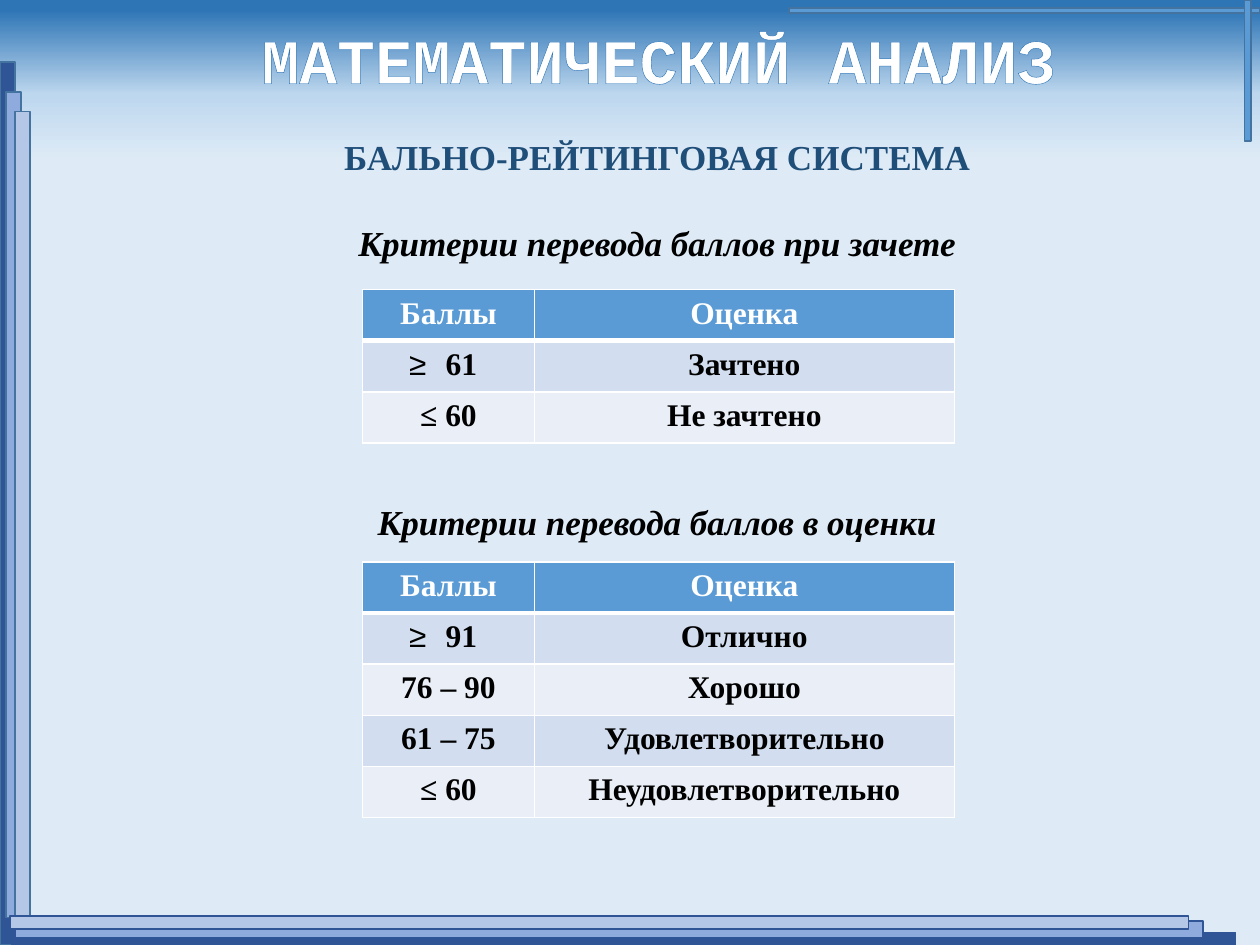
from copy import deepcopy

from lxml import etree
from pptx import Presentation
from pptx import util as u
from pptx.dml.color import RGBColor
from pptx.enum import shapes, text
from pptx.oxml.ns import qn

WHITE = RGBColor(0xFF, 0xFF, 0xFF)
BLACK = RGBColor(0, 0, 0)
NAVY = RGBColor(0x2F, 0x55, 0x97)
MID = RGBColor(0x8F, 0xAA, 0xDC)
PALE = RGBColor(0xB4, 0xC7, 0xE7)
BLUE = RGBColor(0x5B, 0x9B, 0xD5)
EDGE = RGBColor(0x43, 0x73, 0x9E)
INK = RGBColor(0x1F, 0x4E, 0x79)
DEEP = RGBColor(0x2E, 0x75, 0xB6)
SKY = RGBColor(0xBD, 0xD7, 0xEE)
ICE = RGBColor(0xDE, 0xEB, 0xF7)
BANDS = [RGBColor(0xD2, 0xDE, 0xEF), RGBColor(0xEA, 0xEF, 0xF7)]
SERIF = "Times New Roman"
ROW = 1.03  # table row height, cm


def style(para, size, color, face=SERIF, italic=None):
    para.alignment = text.PP_ALIGN.CENTER
    for run in para.runs:
        font = run.font
        font.name, font.size, font.bold = face, u.Pt(size), True
        font.italic = italic
        font.color.rgb = color


def add_line(parent, tag, spot, color, width):
    """Insert a solid line element, such as a border or text outline."""
    line = etree.Element(qn(tag), w=str(u.Pt(width)))
    fill = etree.SubElement(line, qn("a:solidFill"))
    etree.SubElement(fill, qn("a:srgbClr"), val=str(color))
    parent.insert(spot, line)


def paint_back(slide):
    fill = slide.background.fill
    fill.gradient()
    fill.gradient_angle = 270
    first = fill.gradient_stops[0]._gs
    first.addnext(deepcopy(first))
    stops = zip(fill.gradient_stops, (DEEP, SKY, ICE), (0.01, 0.1, 0.17))
    for stop, color, pos in stops:
        stop.color.rgb = color
        stop.position = pos


def add_title(slide, x, y, w, h):
    title = slide.shapes.title
    title.left, title.top, title.width, title.height = map(u.Cm, (x, y, w, h))
    frame = title.text_frame
    frame.text = "МАТЕМАТИЧЕСКИЙ АНАЛИЗ"
    frame.word_wrap = False
    frame.auto_size = text.MSO_AUTO_SIZE.SHAPE_TO_FIT_TEXT
    para = frame.paragraphs[0]
    style(para, 36, WHITE, "Courier New")
    add_line(para.runs[0].font._element, "a:ln", 0, DEEP, 0.75)


def add_bars(slide, bars):
    for x, y, w, h, color, edge in bars:
        bar = slide.shapes.add_shape(
            shapes.MSO_SHAPE.RECTANGLE, *map(u.Cm, (x, y, w, h)))
        bar.shadow.inherit = False
        bar.fill.solid()
        bar.fill.fore_color.rgb = color
        bar.line.color.rgb = edge
        bar.line.width = u.Pt(1)


def add_head(slide, x, y, w, h, words, color=BLACK, italic=True):
    box = slide.shapes.add_textbox(*map(u.Cm, (x, y, w, h)))
    frame = box.text_frame
    frame.word_wrap = True
    frame.text = words
    para = frame.paragraphs[0]
    para.line_spacing = 1.5
    style(para, 20, color, italic=italic)


def add_bullet(cell, mark):
    props = cell.text_frame.paragraphs[0]._p.get_or_add_pPr()
    hang = u.Cm(0.58)
    props.set("marL", str(hang))
    props.set("indent", str(-hang))
    etree.SubElement(props, qn("a:buFont"), typeface="Arial")
    etree.SubElement(props, qn("a:buChar"), char=mark)
    cell.margin_right = u.Cm(0.47)


def add_grid(slide, x, y, rows):
    """Score table: a header, then banded rows; the top score is a bullet."""
    rows = [("Баллы", "Оценка")] + rows
    widths = (3.46, 8.47)
    table = slide.shapes.add_table(
        len(rows), 2, *map(u.Cm, (x, y, sum(widths), ROW * len(rows)))).table
    for col, wide in zip(table.columns, widths):
        col.width = u.Cm(wide)
    for i, row in enumerate(rows):
        table.rows[i].height = u.Cm(ROW)
        for j, words in enumerate(row):
            cell = table.cell(i, j)
            mark = words.startswith("≥")
            cell.text_frame.text = words[1:] if mark else words
            style(cell.text_frame.paragraphs[0], 18, BLACK if i else WHITE)
            if mark:
                add_bullet(cell, "≥")
            cell.fill.solid()
            cell.fill.fore_color.rgb = BANDS[(i - 1) % 2] if i else BLUE
            props = cell._tc.get_or_add_tcPr()
            for spot, side in enumerate("LRTB"):
                thick = (i, side) in ((0, "B"), (1, "T"))
                add_line(props, "a:ln" + side, spot, WHITE, 3 if thick else 1)


def main():
    deck = Presentation()
    deck.slide_width, deck.slide_height = u.Cm(25.4), u.Cm(19.05)
    slide = deck.slides.add_slide(deck.slide_layouts[5])
    paint_back(slide)
    add_title(slide, 4.93, 0.28, 16.69, 1.8)

    # Frame: left side, bottom, top right corner
    add_bars(slide, [
        (0, 1.25, 0.3, 17.8, NAVY, EDGE),
        (0.12, 1.86, 0.3, 16.64, MID, EDGE),
        (0.3, 2.25, 0.3, 16.8, PALE, EDGE),
        (0.25, 18.8, 24.66, 0.25, NAVY, NAVY),
        (0.3, 18.56, 23.95, 0.35, MID, NAVY),
        (0.21, 18.46, 23.75, 0.27, PALE, NAVY),
        (15.91, 0.16, 9.49, 0.11, BLUE, EDGE),
        (25.09, 0, 0.13, 2.85, BLUE, EDGE),
    ])

    # Headings and tables
    left, wide, high = 1.63, 23.24, 1.4
    add_head(slide, left, 2.18, wide, high, "БАЛЬНО-РЕЙТИНГОВАЯ СИСТЕМА",
             INK, None)
    add_head(slide, left, 3.92, wide, high,
             "Критерии перевода баллов при зачете")
    add_grid(slide, 7.31, 5.84, [("≥ 61", "Зачтено"), ("≤ 60", "Не зачтено")])
    add_head(slide, left, 9.55, wide, high,
             "Критерии перевода баллов в оценки")
    add_grid(slide, 7.31, 11.33, [
        ("≥ 91", "Отлично"),
        ("76 – 90", "Хорошо"),
        ("61 – 75", "Удовлетворительно"),
        ("≤ 60", "Неудовлетворительно"),
    ])
    deck.save("out.pptx")


if __name__ == "__main__":
    main()
